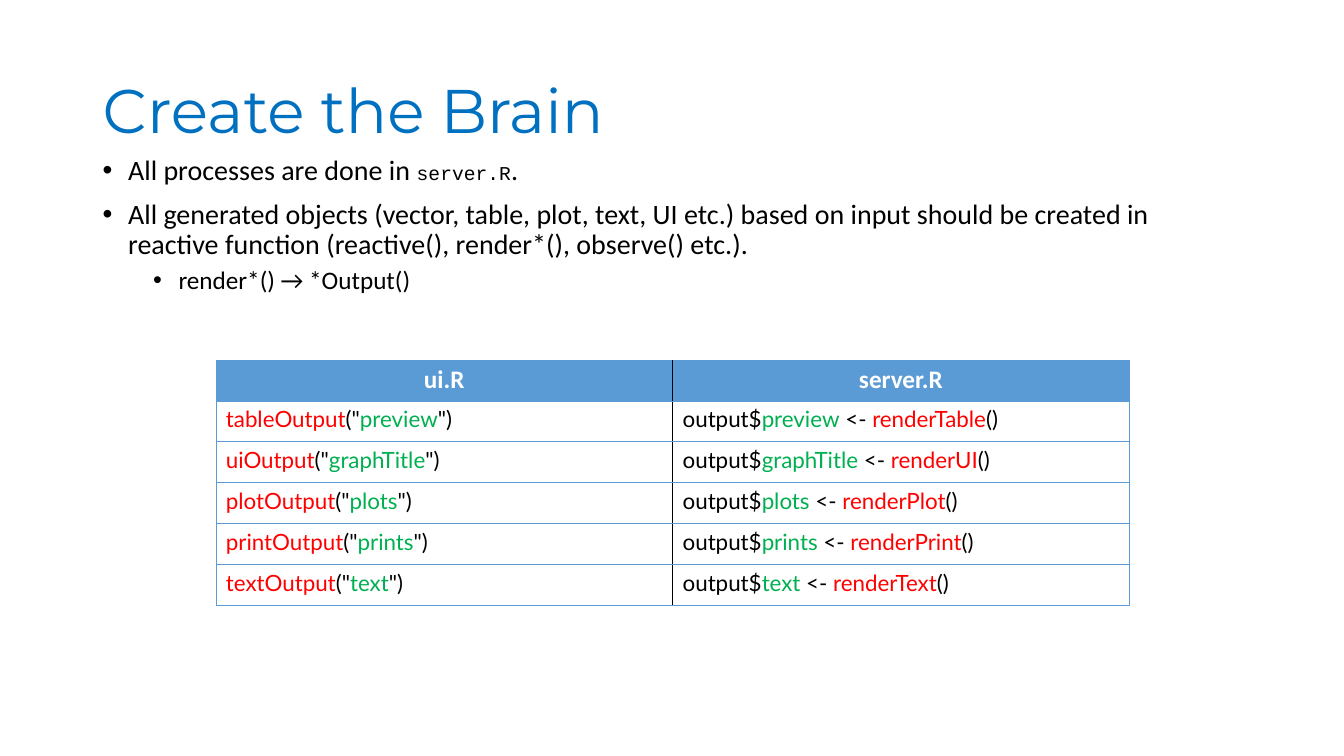
from lxml.etree import SubElement
from pptx import Presentation
from pptx.dml.color import RGBColor
from pptx.enum.text import MSO_ANCHOR, PP_ALIGN
from pptx.oxml.ns import qn
from pptx.util import Cm, Pt

BLACK, WHITE, BLUE = "000000", "FFFFFF", "5B9BD5"
RED, GREEN = "FF0000", "00B050"


def paint(target, color):
    target.rgb = RGBColor.from_string(color)


def apply(target, values):
    for name, value in values.items():
        setattr(target, name, value)


class Deck:
    """Holds the text styles and the current slide, and adds elements to it."""

    styles = {
        "title": {"name": "Montserrat", "size": Pt(44)},
        "body": {"name": "Calibri", "size": Pt(20)},
        "sub": {"name": "Calibri", "size": Pt(18)},
        "code": {"name": "Courier New", "size": Pt(14)},
        "head": {"name": "Calibri", "size": Pt(18), "bold": True},
        "cell": {"name": "Lato", "size": Pt(16), "bold": False},
    }

    def __init__(self):
        self.show = Presentation()
        apply(self.show, {"slide_width": Cm(33.87), "slide_height": Cm(19.05)})
        self.slide = self.show.slides.add_slide(self.show.slide_layouts[6])

    def text(self, para, runs, **form):
        apply(para, form)
        for words, style, color in runs:
            run = para.add_run()
            run.text = words
            apply(run.font, self.styles[style])
            paint(run.font.color, color)

    def box(self, place, anchor):
        frame = self.slide.shapes.add_textbox(*map(Cm, place)).text_frame
        apply(frame, {"word_wrap": True, "vertical_anchor": anchor})
        return frame

    def title(self, words, place, color):
        para = self.box(place, MSO_ANCHOR.MIDDLE).paragraphs[0]
        self.text(para, [(words, "title", color)], line_spacing=0.9)

    def bullets(self, items, place):
        frame = self.box(place, MSO_ANCHOR.TOP)
        for index, (level, runs) in enumerate(items):
            para = frame.add_paragraph() if index else frame.paragraphs[0]
            self.text(para, runs, level=level, line_spacing=0.9,
                      space_before=Pt(5 if level else 10))
            props = para._p.get_or_add_pPr()
            props.set("marL", str(Cm(0.64 + 1.27 * level)))
            props.set("indent", str(Cm(-0.64)))
            SubElement(props, qn("a:buFont")).set("typeface", "Arial")
            SubElement(props, qn("a:buChar")).set("char", "•")

    def border(self, cell, sides):
        props = cell._tc.get_or_add_tcPr()
        for side, (color, width) in sides.items():
            line = SubElement(props, qn(f"a:ln{side}"), w=str(Pt(width)))
            fill = SubElement(line, qn("a:solidFill"))
            SubElement(fill, qn("a:srgbClr")).set("val", color)

    def table(self, rows, place, wide, high):
        size = len(rows), len(rows[0])
        area = *place, wide * size[1], high * size[0]
        table = self.slide.shapes.add_table(*size, *map(Cm, area)).table
        for column in table.columns:
            column.width = Cm(wide)
        thin, split = (BLUE, 0.5), (BLACK, 1)
        for r, row in enumerate(rows):
            table.rows[r].height = Cm(high)
            for c, runs in enumerate(row):
                cell = table.cell(r, c)
                self.border(cell, {"L": split if c else thin,
                                   "R": thin if c else split,
                                   "T": thin, "B": thin})
                cell.fill.solid()
                paint(cell.fill.fore_color, WHITE if r else BLUE)
                self.text(cell.text_frame.paragraphs[0], runs,
                          alignment=PP_ALIGN.LEFT if r else PP_ALIGN.CENTER)


def pair(kind, name, render):
    left = [(f"{kind}Output", RED), ('("', BLACK), (name, GREEN), ('")', BLACK)]
    right = [("output$", BLACK), (name, GREEN), (" <- ", BLACK),
             (f"render{render}", RED), ("()", BLACK)]
    return [[(words, "cell", color) for words, color in side]
            for side in (left, right)]


def main():
    deck = Deck()
    deck.title("Create the Brain", (2.34, 1.02, 29.21, 3.68), "0070C0")
    deck.bullets([
        (0, [("All processes are done in ", "body", BLACK),
             ("server.R", "code", BLACK), (".", "body", BLACK)]),
        (0, [("All generated objects (vector, table, plot, text, UI etc.) "
              "based on input should be created in reactive function "
              "(reactive(), render*(), observe() etc.).", "body", BLACK)]),
        (1, [("render*() → *Output()", "sub", BLACK)]),
    ], (2.34, 3.81, 29.21, 13.36))
    head = [[(words, "head", WHITE)] for words in ("ui.R", "server.R")]
    pairs = [("table", "preview", "Table"), ("ui", "graphTitle", "UI"),
             ("plot", "plots", "Plot"), ("print", "prints", "Print"),
             ("text", "text", "Text")]
    rows = [head] + [pair(*names) for names in pairs]
    deck.table(rows, (5.44, 9.07), 11.51, 1.03)
    deck.show.save("out.pptx")


if __name__ == "__main__":
    main()
